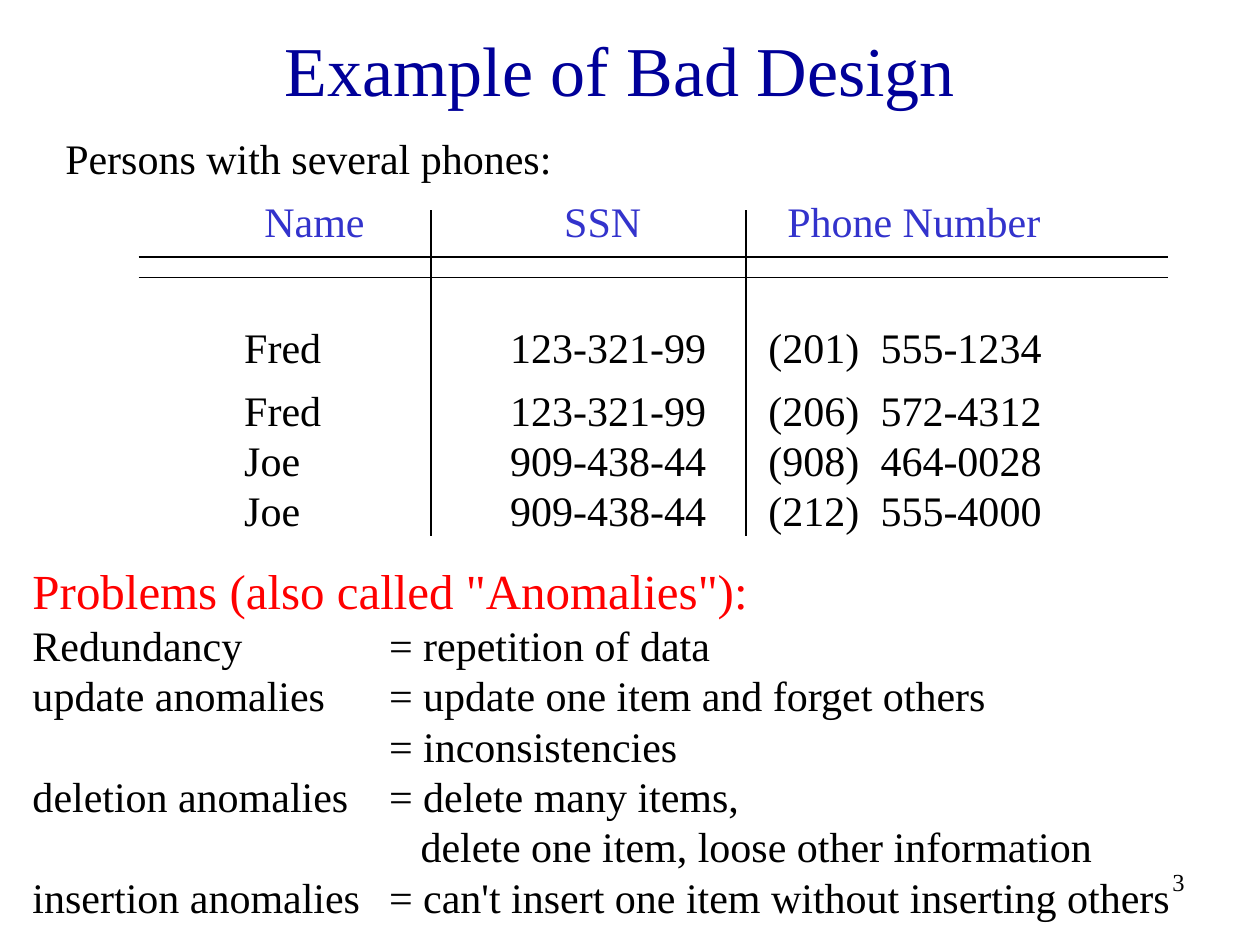
import dataclasses

import pptx
import pptx.dml.color
import pptx.enum.shapes
import pptx.enum.text
import pptx.oxml
import pptx.oxml.ns
import pptx.util

Inches = pptx.util.Inches
Pt = pptx.util.Pt
Align = pptx.enum.text.PP_ALIGN


@dataclasses.dataclass(frozen=True)
class Theme:
    font: str = "Times New Roman"
    title: str = "000099"
    header: str = "3333CC"
    alert: str = "FF0000"
    ink: str = "000000"
    title_size: int = 40
    heading_size: int = 28
    body_size: int = 24
    number_size: int = 14
    leading: float = 1.2
    rule: float = 0.75


THEME = Theme()
HEADERS = ("Name", "SSN", "Phone Number")
FIRST_PERSON = ("Fred", "123-321-99", "(201)", "555-1234")
OTHER_PERSONS = (
    ("Fred", "123-321-99", "(206)", "572-4312"),
    ("Joe", "909-438-44", "(908)", "464-0028"),
    ("Joe", "909-438-44", "(212)", "555-4000"),
)
PROBLEMS = (
    ("Redundancy", "= repetition of data"),
    ("update anomalies", "= update one item and forget others"),
    ("", "= inconsistencies"),
    ("deletion anomalies", "= delete many items,"),
    ("", "", "delete one item, loose other information"),
    ("insertion anomalies", "= can't insert one item without inserting others"),
)


def set_tabs(para, stops):
    if not stops:
        return
    tab_list = pptx.oxml.parse_xml(f"<a:tabLst {pptx.oxml.ns.nsdecls('a')}/>")
    for stop in stops:
        tab = tab_list.makeelement(pptx.oxml.ns.qn("a:tab"), {})
        tab.set("pos", str(Inches(stop)))
        tab.set("algn", "l")
        tab_list.append(tab)
    para._p.get_or_add_pPr().append(tab_list)


def style_para(para, size, color, align=Align.LEFT, stops=()):
    para.line_spacing = Pt(size * THEME.leading)
    para.alignment = align
    set_tabs(para, stops)
    formats = {"name": THEME.font, "size": Pt(size), "bold": False}
    for span in para.runs:
        for key, value in formats.items():
            setattr(span.font, key, value)
        span.font.color.rgb = pptx.dml.color.RGBColor.from_string(color)


def add_lines(page, box, lines, stops=(), align=Align.LEFT):
    frame = page.shapes.add_textbox(*map(Inches, box)).text_frame
    frame.word_wrap = True
    for index, (cells, size, color) in enumerate(lines):
        para = frame.add_paragraph() if index else frame.paragraphs[0]
        para.add_run().text = "\t".join(cells)
        style_para(para, size, color, align, stops)


def add_rule(page, start, end):
    line = page.shapes.add_connector(
        pptx.enum.shapes.MSO_CONNECTOR.STRAIGHT, *map(Inches, start + end)
    )
    line.line.width = Pt(THEME.rule)
    line.line.color.rgb = pptx.dml.color.RGBColor.from_string(THEME.ink)
    effects = pptx.oxml.parse_xml(f"<a:effectLst {pptx.oxml.ns.nsdecls('a')}/>")
    line._element.spPr.append(effects)


def add_title(page, box, text):
    title = page.shapes.title
    for key, value in zip(("left", "top", "width", "height"), box):
        setattr(title, key, Inches(value))
    title.text_frame.text = text
    title.text_frame.vertical_anchor = pptx.enum.text.MSO_ANCHOR.MIDDLE
    para = title.text_frame.paragraphs[0]
    style_para(para, THEME.title_size, THEME.title, Align.CENTER)


def add_person_grid(page, box):
    left, top, width, height = box
    for offset in (0.54, 0.7):
        add_rule(page, (left, top + offset), (left + width, top + offset))
    for offset in (2.32, 4.82):
        x = left + offset
        add_rule(page, (x, top + 0.17), (x, top + height))
    size = THEME.body_size
    header = [(HEADERS, size, THEME.header)]
    add_lines(page, (left + 0.9, top, 6.6, 0.5), header, (2.38, 4.15))
    groups = ((1, 0.5, (FIRST_PERSON,)), (1.5, 1.3, OTHER_PERSONS))
    for offset, group_height, persons in groups:
        rows = [(person, size, THEME.ink) for person in persons]
        group_box = (left + 0.74, top + offset, 6.7, group_height)
        add_lines(page, group_box, rows, (2.11, 4.16, 5.05))


def add_problems(page, box):
    heading = ('Problems (also called "Anomalies"):',)
    lines = [(heading, THEME.heading_size, THEME.alert)]
    lines += [(cells, THEME.body_size, THEME.ink) for cells in PROBLEMS]
    add_lines(page, box, lines, (2.83, 3.08))


def build_slide(deck):
    page = deck.slides.add_slide(deck.slide_layouts.get_by_name("Title Only"))
    number = [(("3",), THEME.number_size, THEME.ink)]
    intro = [(("Persons with several phones:",), THEME.body_size, THEME.ink)]
    add_lines(page, (7.42, 6.83, 2.08, 0.5), number, align=Align.RIGHT)
    add_title(page, (0.17, 0.17, 9.5, 0.75), "Example of Bad Design")
    add_person_grid(page, (1.1, 1.5, 8.17, 2.75))
    add_problems(page, (0.16, 4.4, 9.4, 2.97))
    add_lines(page, (0.42, 1, 4.2, 0.5), intro)


def main():
    deck = pptx.Presentation()
    deck.slide_width = Inches(10)
    deck.slide_height = Inches(7.5)
    build_slide(deck)
    deck.save("out.pptx")


if __name__ == "__main__":
    main()
